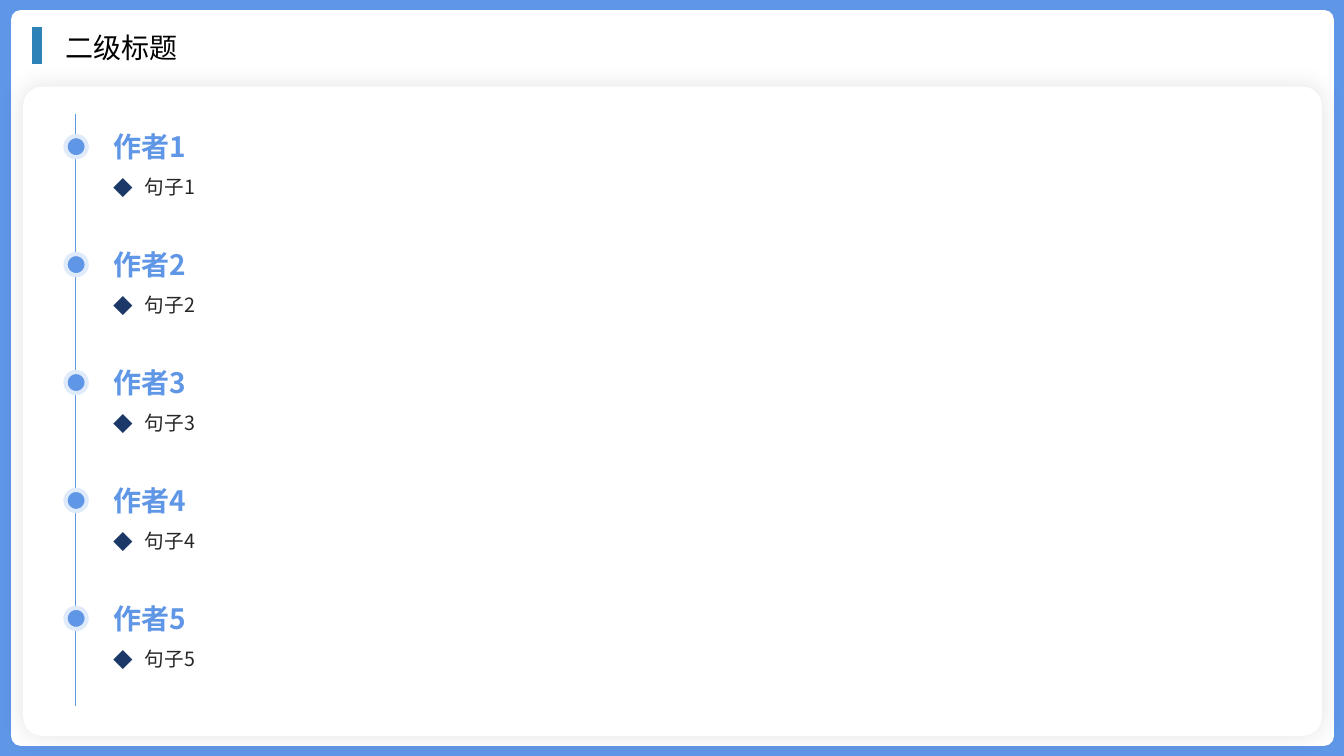
from lxml import etree
from pptx import Presentation
from pptx.dml.color import RGBColor
from pptx.enum.shapes import MSO_CONNECTOR, MSO_SHAPE
from pptx.enum.text import MSO_AUTO_SIZE, PP_ALIGN
from pptx.oxml.ns import qn
from pptx.util import Inches, Pt

RECT = MSO_SHAPE.RECTANGLE
ROUND = MSO_SHAPE.ROUNDED_RECTANGLE
OVAL = MSO_SHAPE.OVAL
LINE = MSO_CONNECTOR.STRAIGHT
GROW = MSO_AUTO_SIZE.SHAPE_TO_FIT_TEXT
LEFT = PP_ALIGN.LEFT
HEX = {
    "blue": "6096E6", "white": "FFFFFF", "teal": "2D83B6", "ring": "DFEAFA",
    "navy": "1B3868", "ink": "262626", "black": "000000",
}
CJK = "Noto Sans CJK SC"


def add(parent, tag, **attrs):
    """Append an XML child with the given attributes."""
    return etree.SubElement(parent, qn(tag), attrs)


class Deck:
    """Hold the style and the current slide."""

    def __init__(self):
        """Open a wide deck with one blank slide."""
        self.prs = Presentation()
        self.prs.slide_width = Inches(13.33)
        self.prs.slide_height = Inches(7.5)
        self.slide = self.prs.slides.add_slide(self.prs.slide_layouts[6])

    def color(self, name):
        """Return a named colour."""
        return RGBColor.from_string(HEX[name])

    def shape(self, kind, box, fill, adj=None, ring=None):
        """Draw a filled shape, with a ring if one is named."""
        item = self.slide.shapes.add_shape(kind, *map(Inches, box))
        item.shadow.inherit = False
        item.fill.solid()
        item.fill.fore_color.rgb = self.color(fill)
        if adj is not None:
            item.adjustments[0] = adj
        if ring:
            item.line.color.rgb = self.color(ring)
            item.line.width = Pt(3)
        else:
            item.line.fill.background()
        return item

    def glow(self, item):
        """Give a shape a soft even shadow."""
        effects = item._element.spPr.find(qn("a:effectLst"))
        outer = add(effects, "a:outerShdw", blurRad=str(Pt(18)), dist="0",
                    dir="0", algn="ctr", rotWithShape="0")
        tint = add(outer, "a:srgbClr", val=HEX["black"])
        add(tint, "a:alpha", val="11000")

    def line(self, x, top, end, color, width):
        """Draw an upright line."""
        item = self.slide.shapes.add_connector(
            LINE, Inches(x), Inches(top), Inches(x), Inches(end))
        item.line.color.rgb = self.color(color)
        item.line.width = Pt(width)
        add(item._element.spPr, "a:effectLst")

    def text(self, box, words, size, color, font=CJK, bold=False):
        """Write one line of text and return its paragraph."""
        frame = self.slide.shapes.add_textbox(*map(Inches, box)).text_frame
        frame.word_wrap = True
        frame.auto_size = GROW
        para = frame.paragraphs[0]
        para.alignment = LEFT
        run = para.add_run()
        run.text = words
        run.font.size = Pt(size)
        run.font.bold = bold
        run.font.color.rgb = self.color(color)
        run.font.name = font
        add(run._r.get_or_add_rPr(), "a:ea", typeface=CJK)
        return para

    def bullet(self, para, mark, color):
        """Turn a paragraph into a spaced bullet point."""
        para.line_spacing = 1.3
        para.space_before = para.space_after = Pt(6)
        props = para._p.get_or_add_pPr()
        props.set("marL", str(Inches(0.31)))
        props.set("indent", str(-Inches(0.31)))
        add(add(props, "a:buClr"), "a:srgbClr", val=HEX[color])
        add(props, "a:buFont", typeface=CJK)
        add(props, "a:buChar", char=mark)


def main():
    """Build the timeline slide."""
    deck = Deck()
    deck.shape(RECT, (0, 0, 13.33, 7.5), "blue")
    deck.shape(ROUND, (0.11, 0.1, 13.12, 7.3), "white", adj=0.013)
    deck.glow(deck.shape(ROUND, (0.23, 0.86, 12.88, 6.44), "white", adj=0.029))
    deck.line(0.37, 0.27, 0.64, "teal", 7.25)
    deck.text((0.55, 0.25, 12.42, 0.44), "二级标题", 20, "black", font="Karla")
    deck.line(0.75, 1.13, 7, "blue", 0.5)
    for i in range(5):
        top = 1.24 + 1.17 * i
        deck.shape(OVAL, (0.65, top + 0.11, 0.21, 0.21), "blue", ring="ring")
        deck.text((1.03, top, 2.3, 0.44), f"作者{i + 1}", 20, "blue", bold=True)
        quote = deck.text((1.03, top + 0.38, 11.46, 0.41), f"句子{i + 1}", 14, "ink")
        deck.bullet(quote, "◆", "navy")
    deck.prs.save("out.pptx")


if __name__ == "__main__":
    main()
